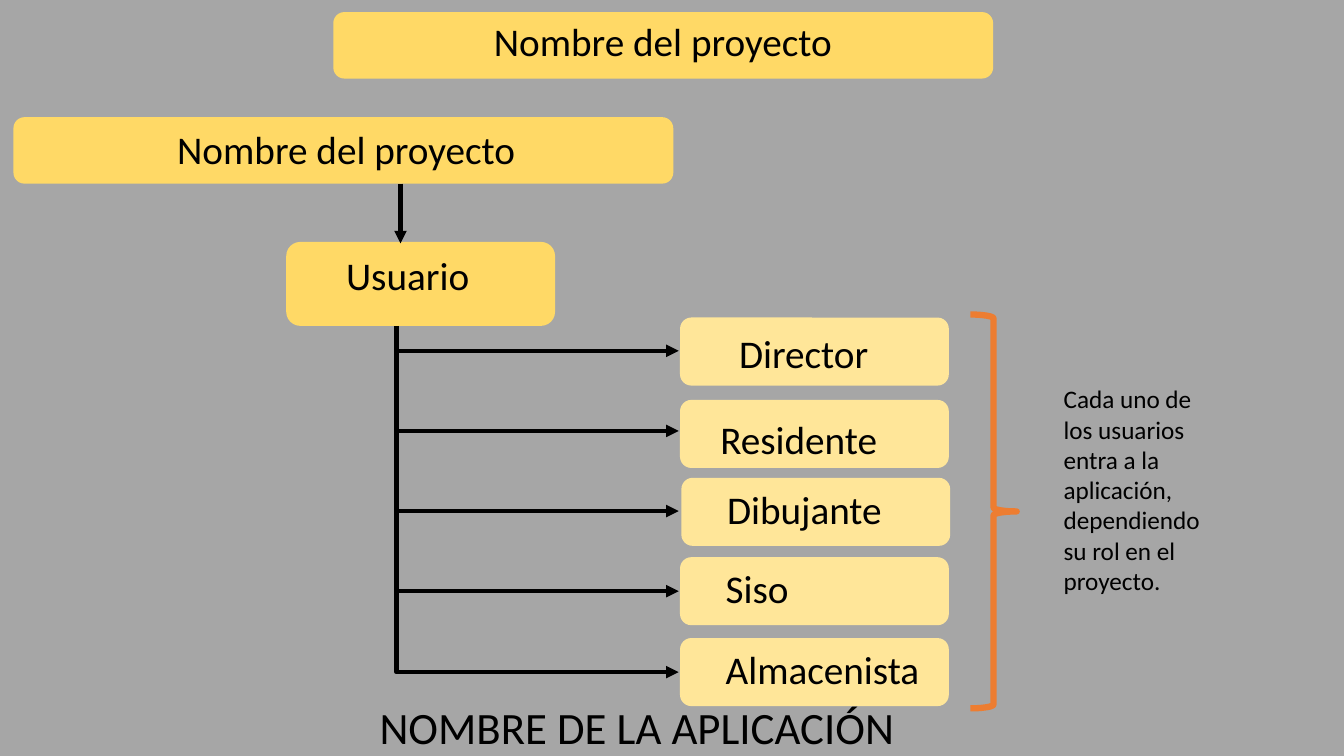
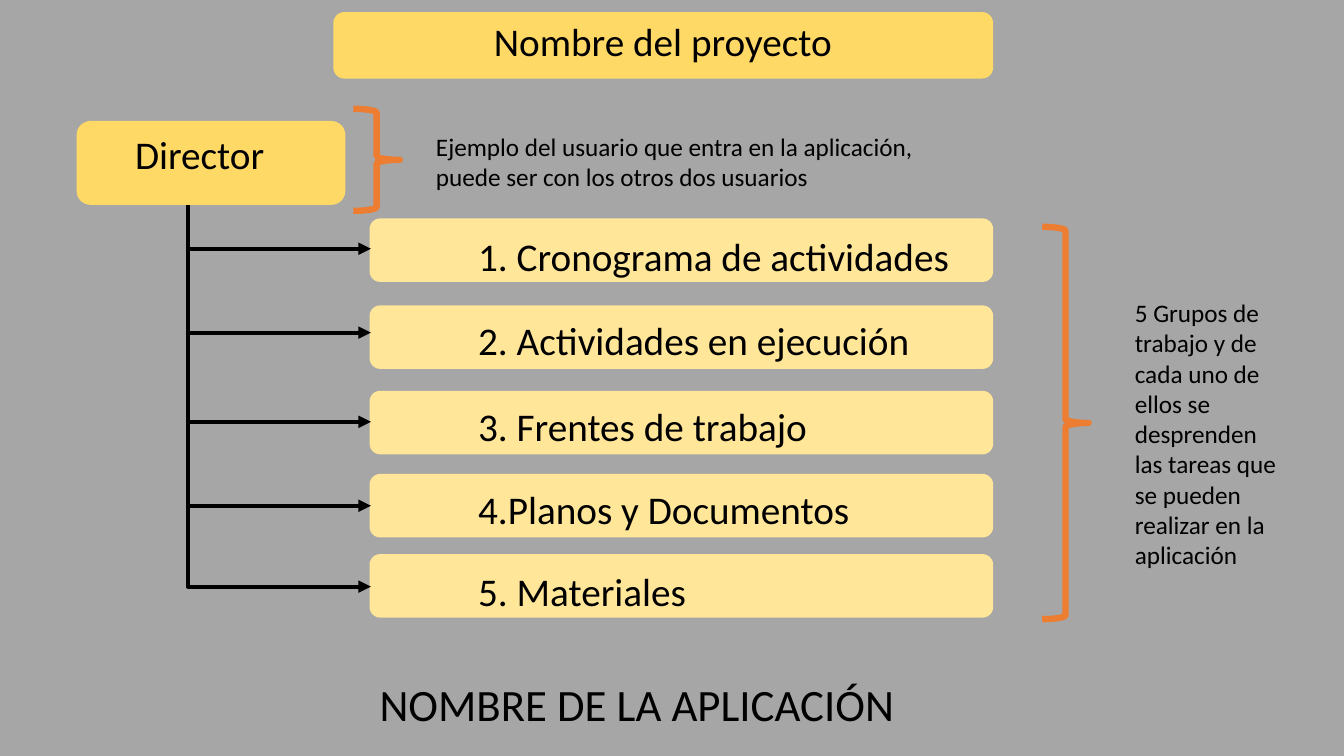
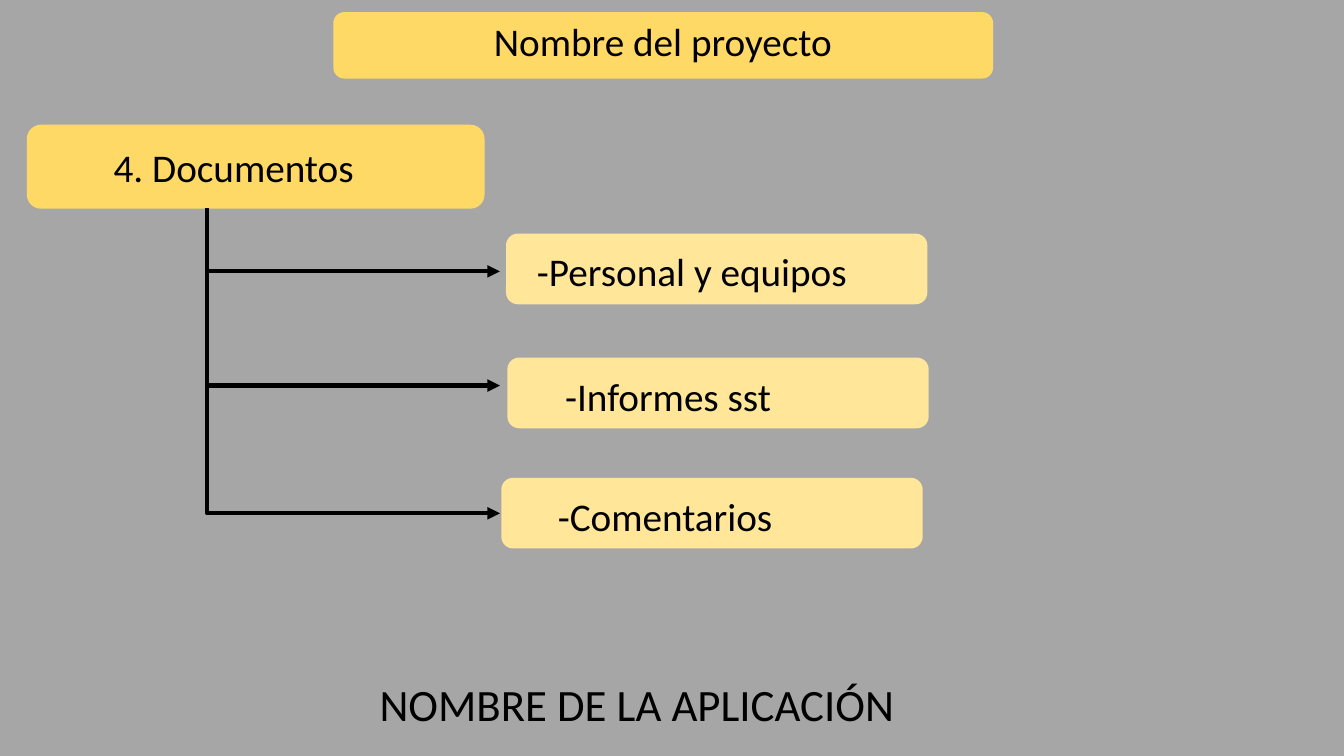
from pptx import Presentation
from pptx import util as u
from pptx.dml.color import RGBColor
from pptx.enum import shapes, text
from pptx.oxml.ns import qn
from lxml import etree

COLORS = {"back": "A6A6A6", "root": "FFD966", "leaf": "FFE699", "brace": "ED7D31", "ink": "000000"}
RGB = {name: RGBColor.from_string(value) for name, value in COLORS.items()}
FONT = "Calibri"

prs = Presentation()
prs.slide_width, prs.slide_height = u.Inches(13.33), u.Inches(7.5)
COL, ROW = prs.slide_width / 100, prs.slide_height / 100
fill = prs.slide_master.background.fill
fill.solid()
fill.fore_color.rgb = RGB["back"]


def write(sp, words, size, dx=0, dy=0):
    tf = sp.text_frame
    tf.word_wrap = True
    tf.vertical_anchor = text.MSO_ANCHOR.TOP
    tf.margin_left = int(u.Inches(0.1) + dx * COL)
    tf.margin_top = int(u.Inches(0.05) + dy * ROW)
    p = tf.paragraphs[0]
    p.text = words
    p.alignment = text.PP_ALIGN.LEFT
    p.font.size, p.font.name = u.Pt(size), FONT
    p.font.color.rgb = RGB["ink"]


def arrow(s, x1, y1, x2, y2, bent=False):
    x1, x2, y1, y2 = x1 * COL, x2 * COL, y1 * ROW, y2 * ROW
    if bent:
        cx, cy, w, h = (x1 + x2) / 2, (y1 + y2) / 2, x2 - x1, y2 - y1
        x1, x2, y1, y2 = cx - h / 2, cx + h / 2, cy - w / 2, cy + w / 2
    c = s.shapes.add_connector(shapes.MSO_CONNECTOR.STRAIGHT, int(x1), int(y1), int(x2), int(y2))
    c.line.width = u.Pt(3)
    c.line.color.rgb = RGB["ink"]
    pr = c._element.spPr
    if bent:
        pr.find(qn("a:prstGeom")).set("prst", "bentConnector2")
        pr.find(qn("a:xfrm")).set("rot", "16200000")
        pr.find(qn("a:xfrm")).set("flipH", "1")
    etree.SubElement(pr.find(qn("a:ln")), qn("a:tailEnd"), type="triangle")
    etree.SubElement(pr, qn("a:effectLst"))


TITLE_BAR = (24.8, 1.6, 49.1, 8.8)
slides = [
    {
        "footer": 91.9,
        "roots": [("Nombre del proyecto", (1, 15.5, 49.1, 8.8), 11.2, 0),
                  ("Usuario", (21.3, 32, 20, 11.1), 3.4, 0)],
        "leaf": (20, 9),
        "leaves": [("Director", 50.6, 42, 3.4, 0.4), ("Residente", 50.6, 52.9, 2, 0.9),
                   ("Dibujante", 50.7, 63.2, 2.4, -0.1), ("Siso", 50.6, 73.7, 2.4, -0.2),
                   ("Almacenista", 50.6, 84.4, 2.4, -0.2)],
        "trunk": (29.5, 43.1, 50.5),
        "branches": [46.4, 57, 67.6, 78.2, 88.9],
        "drops": [(29.8, 24.3, 29.8, 32.2)],
        "braces": [(72.2, 41.6, 3.45, 52.1)],
        "notes": [("Cada uno de los usuarios entra a la aplicación, dependiendo su rol en el proyecto.",
                   (78.4, 50.1, 13.05, 29.6))],
    },
    {
        "footer": 88.9,
        "roots": [("Director", (5.7, 16, 20, 11.1), 3.3, 0)],
        "leaf": (46.4, 8.4),
        "leaves": [("1. Cronograma de actividades", 27.5, 28.9, 7.1, 0.7),
                   ("2. Actividades en ejecución", 27.5, 40.4, 7.1, 0.4),
                   ("3. Frentes de trabajo", 27.5, 51.7, 7.1, 0.5),
                   ("4.Planos y Documentos", 27.5, 62.7, 7.1, 0.4),
                   ("5. Materiales", 27.5, 73.3, 7.1, 0.7)],
        "trunk": (14, 27.1, 27.6),
        "branches": [32.9, 44, 55.8, 66.9, 77.6],
        "drops": [],
        "braces": [(77.55, 30, 3.45, 51.9), (26.3, 14.4, 3.45, 13.5)],
        "notes": [("5 Grupos de trabajo y de cada uno de ellos se desprenden las tareas que se pueden "
                   "realizar en la aplicación", (83.7, 38.7, 13.05, 41.7)),
                  ("Ejemplo del usuario que entra en la aplicación, puede ser con los otros dos usuarios",
                   (31.7, 16.7, 39, 9.5))],
    },
    {
        "footer": 88.9,
        "roots": [("4. Documentos", (2, 16.5, 34.05, 11.1), 5.4, 1.3)],
        "leaf": (31.35, 9.35),
        "leaves": [("-Personal y equipos", 37.65, 30.9, 1.3, 0.7),
                   ("-Informes sst", 37.75, 47.3, 3.3, 0.8),
                   ("-Comentarios", 37.3, 63.2, 3.2, 0.8)],
        "trunk": (15.4, 27.5, 37.2),
        "branches": [35.9, 51, 67.9],
        "drops": [],
        "braces": [],
        "notes": [],
    },
]

for d in slides:
    s = prs.slides.add_slide(prs.slide_layouts[5])
    boxes = [("", TITLE_BAR, 0, 0, "root")]
    boxes += [(*root, "root") for root in d["roots"]]
    boxes += [(words, (x, y, *d["leaf"]), dx, dy, "leaf") for words, x, y, dx, dy in d["leaves"]]
    for words, (x, y, w, h), dx, dy, color in boxes:
        sp = s.shapes.add_shape(shapes.MSO_SHAPE.ROUNDED_RECTANGLE,
                                int(x * COL), int(y * ROW), int(w * COL), int(h * ROW))
        sp.shadow.inherit = False
        sp.fill.solid()
        sp.fill.fore_color.rgb = RGB[color]
        sp.line.fill.background()
        if words:
            write(sp, words, 28, dx, dy)

    title = s.shapes.title
    title.left, title.top, title.width, title.height = (
        int(36 * COL), int(1.6 * ROW), int(45.2 * COL), int(7.6 * ROW))
    write(title, "Nombre del proyecto", 28)
    s.shapes._spTree.append(title._element)

    labels = [("NOMBRE DE LA APLICACIÓN", (27.5, d["footer"], 49, 8.5), 32)]
    labels += [(*note, 18) for note in d["notes"]]
    for words, (x, y, w, h), size in labels:
        sp = s.shapes.add_textbox(int(x * COL), int(y * ROW), int(w * COL), int(h * ROW))
        write(sp, words, size)

    for x, y, w, h in d["braces"]:
        sp = s.shapes.add_shape(shapes.MSO_SHAPE.RIGHT_BRACE,
                                int(x * COL), int(y * ROW), int(w * COL), int(h * ROW))
        sp.shadow.inherit = False
        sp.fill.background()
        sp.line.color.rgb = RGB["brace"]
        sp.line.width = u.Pt(4.5)

    x, top, end = d["trunk"]
    *middle, last = d["branches"]
    arrow(s, x, top, end, last, bent=True)
    for y in middle:
        arrow(s, x, y, end, y)
    for drop in d["drops"]:
        arrow(s, *drop)

prs.save("out.pptx")
